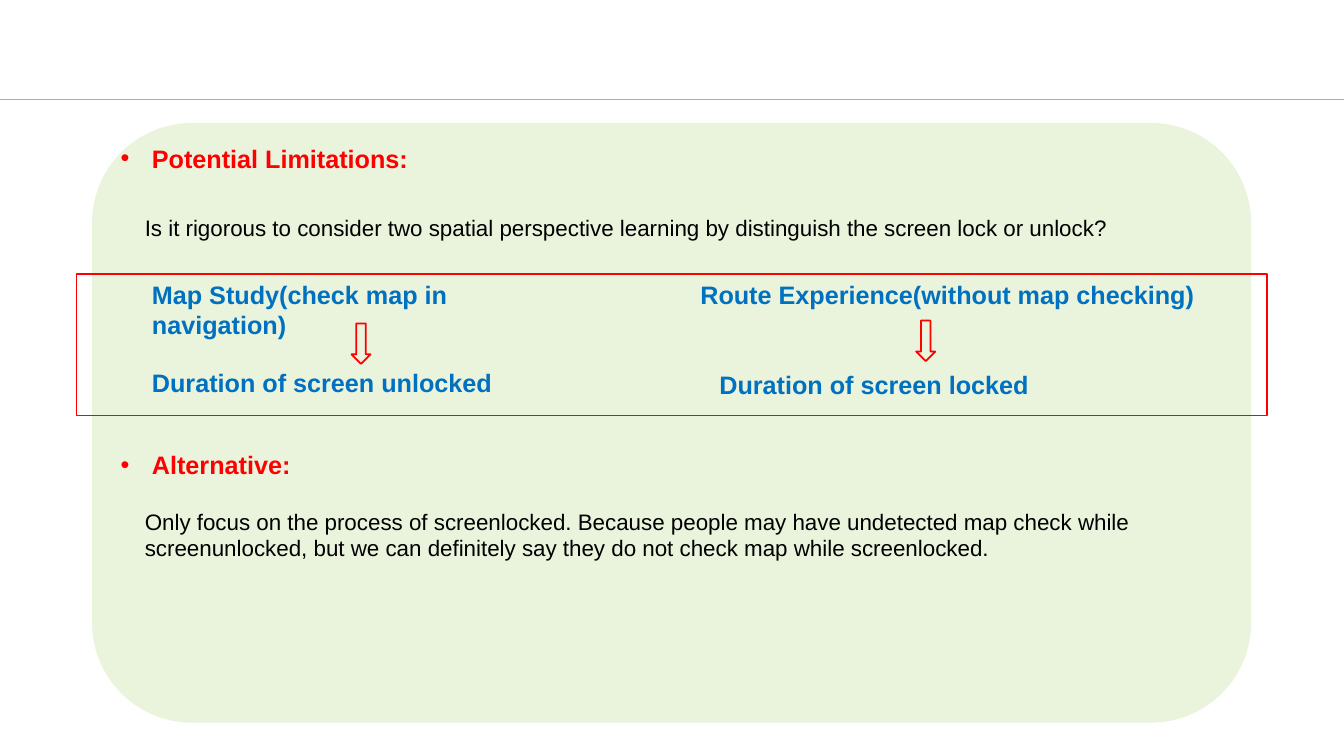
from dataclasses import dataclass

from lxml import etree
from pptx import Presentation
from pptx.dml.color import RGBColor
from pptx.enum.shapes import MSO_CONNECTOR, MSO_SHAPE as Shape
from pptx.oxml.ns import qn
from pptx.util import Cm, Pt

SLIDE_WIDTH, SLIDE_HEIGHT = 33.87, 19.05


@dataclass(frozen=True)
class Theme:
    font: str = "Arial"
    heading_size: int = 18
    body_size: int = 16
    line_width: float = 1.25
    accent: str = "FF0000"
    topic: str = "0070C0"
    body: str = "000000"
    panel: str = "D5E9B7"
    panel_opacity: int = 48
    rule: str = "A3ADB7"


class SlideBuilder:
    def __init__(self, slide, theme):
        self.slide = slide
        self.theme = theme

    def rule(self, top):
        rule = self.slide.shapes.add_connector(
            MSO_CONNECTOR.STRAIGHT, 0, Cm(top), Cm(SLIDE_WIDTH), Cm(top))
        rule.line.color.rgb = RGBColor.from_string(self.theme.rule)
        rule.line.width = Pt(self.theme.line_width)
        etree.SubElement(rule._element.spPr, qn("a:effectLst"))

    def _shape(self, kind, left, top, width, height):
        shape = self.slide.shapes.add_shape(
            kind, Cm(left), Cm(top), Cm(width), Cm(height))
        shape.shadow.inherit = False
        return shape

    def panel(self, left, top, width, height):
        """Add a translucent rounded background."""
        panel = self._shape(Shape.ROUNDED_RECTANGLE, left, top, width, height)
        panel.fill.solid()
        panel.fill.fore_color.rgb = RGBColor.from_string(self.theme.panel)
        color = panel._element.spPr.find(".//" + qn("a:srgbClr"))
        etree.SubElement(color, qn("a:alpha"),
                         val=str(self.theme.panel_opacity * 1000))
        panel.line.fill.background()

    def outline(self, kind, left, top, width, height):
        """Add an unfilled shape with an accent border."""
        outline = self._shape(kind, left, top, width, height)
        outline.fill.background()
        outline.line.color.rgb = RGBColor.from_string(self.theme.accent)
        outline.line.width = Pt(self.theme.line_width)

    def _text(self, text, left, top, width, height, size, color, bold=False,
              bullet=False):
        box = self.slide.shapes.add_textbox(
            Cm(left), Cm(top), Cm(width), Cm(height))
        box.text_frame.word_wrap = True
        paragraph = box.text_frame.paragraphs[0]
        paragraph.text = text
        if bullet:
            properties = paragraph._p.get_or_add_pPr()
            indent = Cm(0.79)
            properties.set("marL", str(indent))
            properties.set("indent", str(-indent))
            etree.SubElement(properties, qn("a:buFont"),
                             typeface=self.theme.font)
            etree.SubElement(properties, qn("a:buChar"), char="•")
        font = paragraph.font
        font.name = self.theme.font
        font.size = Pt(size)
        font.bold = bold
        font.color.rgb = RGBColor.from_string(color)

    def heading(self, text, top):
        self._text(text, 2.79, top, 27.61, 1.02, self.theme.heading_size,
                   self.theme.accent, bold=True, bullet=True)

    def body(self, text, top, height):
        self._text(text, 3.4, top, 25.45, height, self.theme.body_size,
                   self.theme.body)

    def topic(self, text, left, top, width):
        self._text(text, left, top, width, 1.02, self.theme.heading_size,
                   self.theme.topic, bold=True)


def main():
    presentation = Presentation()
    presentation.slide_width = Cm(SLIDE_WIDTH)
    presentation.slide_height = Cm(SLIDE_HEIGHT)
    blank_layout = presentation.slide_layouts[6]
    builder = SlideBuilder(presentation.slides.add_slide(blank_layout), Theme())

    builder.rule(2.51)
    builder.panel(2.32, 3.1, 29.21, 15.11)

    builder.heading("Potential Limitations:", 3.48)
    builder.body("Is it rigorous to consider two spatial perspective learning "
                 "by distinguish the screen lock or unlock?", 5.28, 1.63)

    comparison_top = 6.91
    builder.topic("Map Study(check map in navigation)",
                  3.58, comparison_top, 11.33)
    builder.topic("Route Experience(without map checking)",
                  17.4, comparison_top, 13)
    for arrow_left, arrow_top in ((8.86, 8.15), (23.09, 8.08)):
        builder.outline(Shape.DOWN_ARROW, arrow_left, arrow_top, 0.48, 1.02)
    builder.topic("Duration of screen unlocked", 3.58, 9.14, 11.33)
    builder.topic("Duration of screen locked", 17.88, 9.17, 11.33)
    builder.outline(Shape.RECTANGLE, 1.93, comparison_top, 30, 3.56)

    builder.heading("Alternative:", 11.2)
    builder.body("Only focus on the process of screenlocked. Because people "
                 "may have undetected map check while screenunlocked, but we "
                 "can definitely say they do not check map while "
                 "screenlocked.", 12.67, 2.31)

    presentation.save("out.pptx")


if __name__ == "__main__":
    main()
